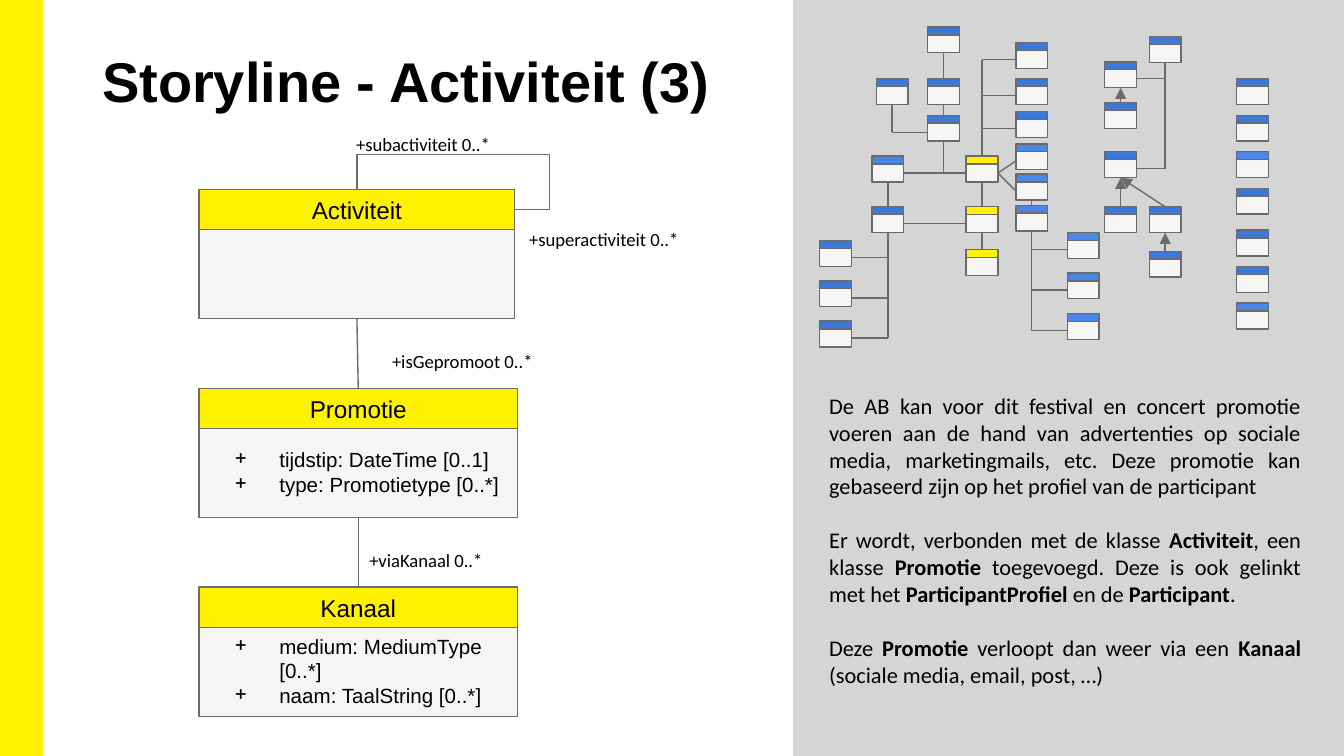
from lxml import etree
from pptx import Presentation
from pptx.dml.color import RGBColor
from pptx.enum.shapes import MSO_CONNECTOR, MSO_SHAPE
from pptx.enum.text import MSO_ANCHOR, MSO_AUTO_SIZE, PP_ALIGN
from pptx.oxml.ns import qn
from pptx.util import Cm, Pt

RECT, LINE = MSO_SHAPE.RECTANGLE, MSO_CONNECTOR.STRAIGHT
MIDDLE = MSO_ANCHOR.MIDDLE
LEFT_AL, CENTER, JUST = PP_ALIGN.LEFT, PP_ALIGN.CENTER, PP_ALIGN.JUSTIFY
TOP, LEFT, BOTTOM, RIGHT = range(4)

HUES = {"yellow": "FFF200", "panel": "D5D5D5", "body": "F6F5F3",
        "line": "6B6B6B", "blue": "3C78D8", "sky": "4A86E8", "text": "000000"}

TITLE = "Storyline - Activiteit (3)"

# Odd pieces are bold
STORY = [
    ["De AB kan voor dit festival en concert promotie voeren aan de hand van "
     "advertenties op sociale media, marketingmails, etc. Deze promotie kan "
     "gebaseerd zijn op het profiel van de participant"],
    ["Er wordt, verbonden met de klasse ", "Activiteit", ", een klasse ",
     "Promotie", " toegevoegd. Deze is ook gelinkt met het ",
     "ParticipantProfiel ", "en de ", "Participant", ". "],
    ["Deze ", "Promotie", " verloopt dan weer via een ", "Kanaal",
     " (sociale media, email, post, …)"],
]

# Name, width, attributes
CLASSES = [
    ("Activiteit", 5.97, []),
    ("Promotie", 6.02, ["tijdstip: DateTime [0..1]", "type: Promotietype [0..*]"]),
    ("Kanaal", 6.02, ["medium: MediumType [0..*]", "naam: TaalString [0..*]"]),
]
LABELS = [
    ("+subactiviteit 0..*", 6.48, 2.29, 3.15),
    ("+superactiviteit 0..*", 9.75, 4.09, 3.86),
    ("+isGepromoot 0..*", 7.16, 6.4, 3.71),
    ("+viaKanaal 0..*", 6.73, 10.16, 3.71),
]
LOOP = [(6.75, 3.58), (6.75, 2.92), (10.39, 2.92), (10.39, 3.96), (9.73, 3.96)]

# Overview map: column letter, left, tops
COLUMNS = [
    ("a", 15.49, [4.55, 5.31, 6.07]),
    ("b", 16.48, [2.95, 3.91]),
    ("k", 16.56, [1.49]),
    ("c", 17.53, [0.51, 1.49, 2.18]),
    ("d", 18.26, [2.95, 3.91, 4.72]),
    ("e", 19.2, [0.81, 1.49, 2.11, 2.72, 3.29, 3.88]),
    ("f", 20.17, [4.4, 5.16, 5.93]),
    ("g", 20.88, [1.17, 1.94, 2.87, 3.91]),
    ("h", 21.72, [0.69, 3.91, 4.75]),
    ("i", 23.37, [1.49, 2.18, 2.87, 3.56, 4.35, 5.04, 5.73]),
]
YELLOW = "d1 d2 d3".split()
SKY = "b1 e4 e5 e6 f1 f2 f3 i3 i7".split()
JOINS = [
    ("c1", BOTTOM, "c2", TOP), ("c2", BOTTOM, "c3", TOP),
    ("b1", BOTTOM, "b2", TOP), ("b1", RIGHT, "d1", LEFT),
    ("d1", BOTTOM, "d2", TOP), ("d2", BOTTOM, "d3", TOP),
    ("d2", LEFT, "b2", RIGHT), ("d1", RIGHT, "e4", LEFT),
    ("d1", RIGHT, "e5", LEFT), ("e5", BOTTOM, "e6", TOP),
]
ARROWS = [("g4", "g3"), ("h2", "g3"), ("h3", "h2"), ("g2", "g1")]
# Rail start, its side, node at end level, nodes with a spur, their side
RAILS = [
    ("d1", TOP, "e1", "e1 e2 e3", LEFT),
    ("b2", BOTTOM, "a3", "a1 a2 a3", RIGHT),
    ("e6", BOTTOM, "f3", "f1 f2 f3", LEFT),
    ("h1", BOTTOM, "g3", "g1 g3", RIGHT),
    ("k1", BOTTOM, "c3", "c3", LEFT),
    ("c3", BOTTOM, "b1", "", RIGHT),
]

deck = Presentation()
deck.slide_width, deck.slide_height = Cm(25.4), Cm(14.29)
slide = deck.slides.add_slide(deck.slide_layouts[5])
shapes = slide.shapes


def hue(name):
    return RGBColor.from_string(HUES[name])


def box(x, y, w, h, fill, edge="line", width=0.75):
    shape = shapes.add_shape(RECT, Cm(x), Cm(y), Cm(w), Cm(h))
    shape.shadow.inherit = False
    shape.fill.solid()
    shape.fill.fore_color.rgb = hue(fill)
    if edge:
        shape.line.color.rgb = hue(edge)
        shape.line.width = Pt(width)
    else:
        shape.line.fill.background()
    return shape


def frame(shape, inset=0.25):
    tf = shape.text_frame
    tf.word_wrap = True
    tf.margin_left = tf.margin_right = Cm(inset)
    tf.margin_top = tf.margin_bottom = Cm(min(inset, 0.25))
    return tf


def write(par, text, size, font="Arial", bold=False):
    run = par.add_run()
    run.text = text
    run.font.size, run.font.name, run.font.bold = Pt(size), font, bold
    run.font.color.rgb = hue("text")


def bullet(par):
    props = par._p.get_or_add_pPr()
    props.set("marL", str(Cm(1.27)))
    props.set("indent", str(Cm(-0.84)))
    tint = etree.SubElement(props, qn("a:buClr"))
    etree.SubElement(tint, qn("a:srgbClr"), val=HUES["text"])
    etree.SubElement(props, qn("a:buChar"), char="+")


def spot(shape, side):
    """Return the middle of one side of a shape."""
    x = shape.left + shape.width * {LEFT: 0, RIGHT: 2}.get(side, 1) // 2
    y = shape.top + shape.height * {TOP: 0, BOTTOM: 2}.get(side, 1) // 2
    return x, y


def link(start, side, end, goal=None, arrow=False):
    """Join a shape's side to another shape's side, or to a point."""
    last = end if goal is None else spot(end, goal)
    line = shapes.add_connector(LINE, *spot(start, side), *last)
    line.begin_connect(start, side)
    if goal is not None:
        line.end_connect(end, goal)
    line.line.color.rgb = hue("line")
    line.line.width = Pt(0.75)
    if arrow:
        etree.SubElement(line.line._get_or_add_ln(), qn("a:tailEnd"), type="triangle")
    etree.SubElement(line._element.spPr, qn("a:effectLst"))


box(0, 0, 0.79, 14.29, "yellow", "yellow", 1)
box(14.99, 0, 10.41, 14.29, "panel", None)

title = shapes.title
title.left, title.top, title.width, title.height = Cm(1.75), Cm(0.76), Cm(12.8), Cm(1.52)
tf = frame(title, 0.18)
tf.margin_top = tf.margin_bottom = Cm(0.1)
tf.auto_size = MSO_AUTO_SIZE.NONE
tf.vertical_anchor = MIDDLE
tf.paragraphs[0].alignment = LEFT_AL
write(tf.paragraphs[0], TITLE, 30, bold=True)

tf = frame(shapes.add_textbox(Cm(15.42), Cm(7.16), Cm(9.42), Cm(7.13)))
for i, pieces in enumerate(STORY):
    par = tf.add_paragraph() if i else tf.paragraphs[0]
    par.alignment = JUST
    if i:
        par.space_before = Pt(14.5)
    for j, piece in enumerate(pieces):
        write(par, piece, 12, "Calibri", j % 2 == 1)

pairs = []
for i, (name, wide, fields) in enumerate(CLASSES):
    y = 3.58 + 3.76 * i
    body = box(3.76, y + 0.72, wide, 1.72, "body")
    head = box(3.76, y, wide, 0.76, "yellow")
    pairs.append((head, body))
    tf = frame(head)
    tf.vertical_anchor = MIDDLE
    tf.paragraphs[0].alignment = CENTER
    write(tf.paragraphs[0], name, 13)
    tf = frame(body)
    tf.vertical_anchor = MIDDLE
    for j, field in enumerate(fields):
        par = tf.add_paragraph() if j else tf.paragraphs[0]
        par.alignment = LEFT_AL
        bullet(par)
        write(par, field, 11)
for (_, upper), (lower, _) in zip(pairs, pairs[1:]):
    link(upper, BOTTOM, lower, TOP)

points = [(Cm(x), Cm(y)) for x, y in LOOP]
pen = shapes.build_freeform(*points[0])
pen.add_line_segments(points[1:], close=False)
loop = pen.convert_to_shape()
loop.shadow.inherit = False
loop.fill.background()
loop.line.color.rgb = hue("line")
loop.line.width = Pt(0.75)

for text, x, y, wide in LABELS:
    tf = frame(shapes.add_textbox(Cm(x), Cm(y), Cm(wide), Cm(0.94)))
    write(tf.paragraphs[0], text, 10, "Calibri")

nodes = {}
for letter, x, tops in COLUMNS:
    for i, y in enumerate(tops, 1):
        key = f"{letter}{i}"
        fill = "yellow" if key in YELLOW else "sky" if key in SKY else "blue"
        body = box(x, y + 0.15, 0.6, 0.34, "body")
        nodes[key] = {TOP: box(x, y, 0.6, 0.15, fill),
                      LEFT: body, BOTTOM: body, RIGHT: body}

for a, side, b, goal in JOINS:
    link(nodes[a][side], side, nodes[b][goal], goal)
for a, b in ARROWS:
    link(nodes[a][TOP], TOP, nodes[b][BOTTOM], BOTTOM, True)
for a, side, level, spurs, edge in RAILS:
    start = nodes[a][side]
    x = spot(start, side)[0]
    link(start, side, (x, spot(nodes[level][edge], edge)[1]))
    for key in spurs.split():
        node = nodes[key][edge]
        link(node, edge, (x, spot(node, edge)[1]))

deck.save("out.pptx")
